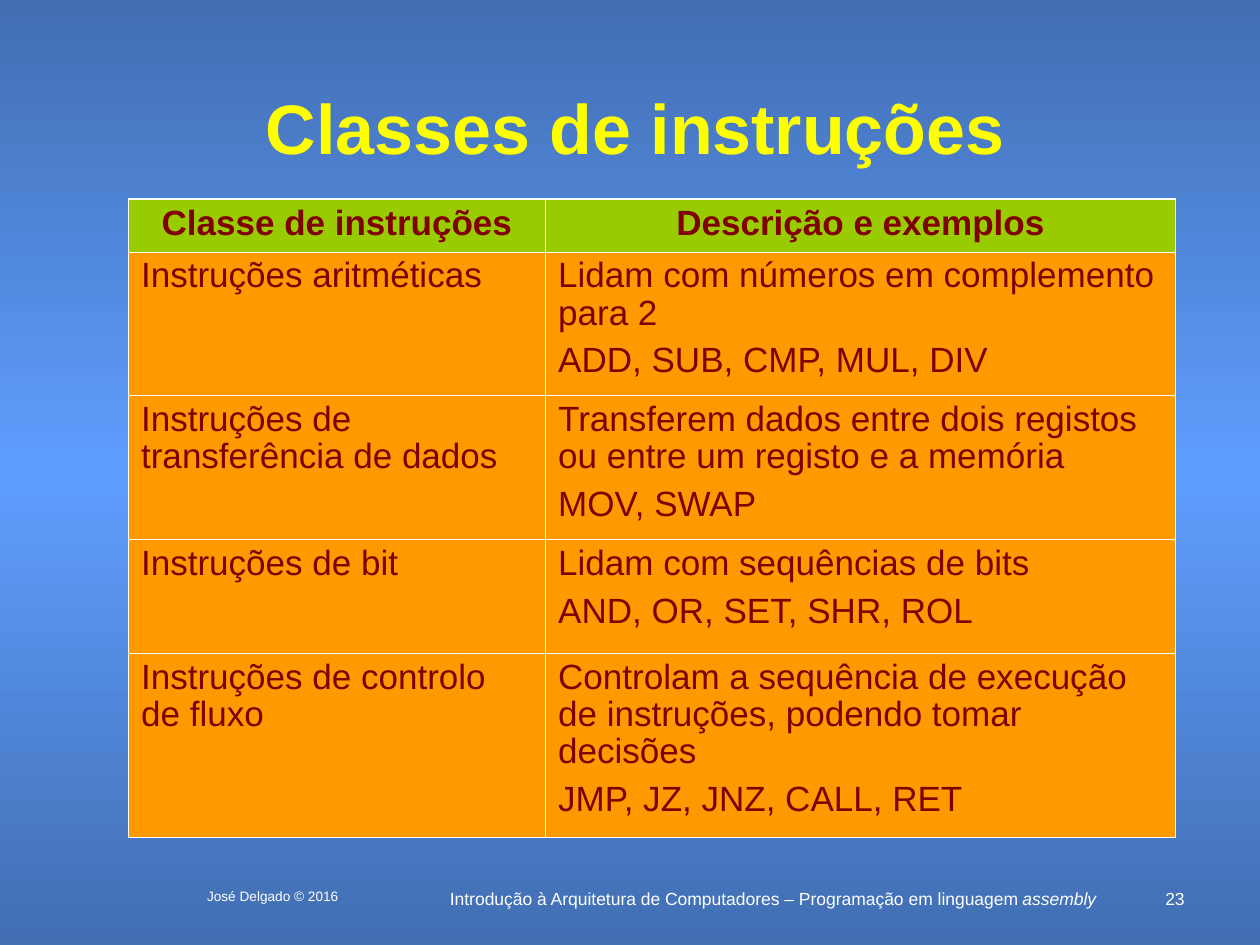
from copy import deepcopy

from lxml import etree
from pptx import Presentation
from pptx.dml.color import RGBColor
from pptx.enum.text import MSO_ANCHOR, PP_ALIGN
from pptx.oxml.ns import qn
from pptx.util import Inches, Pt

LEFT, CENTER, RIGHT = PP_ALIGN.LEFT, PP_ALIGN.CENTER, PP_ALIGN.RIGHT
MIDDLE = MSO_ANCHOR.MIDDLE

WHITE = RGBColor(0xFF, 0xFF, 0xFF)
YELLOW = RGBColor(0xFF, 0xFF, 0x00)
MAROON = RGBColor(0x80, 0x00, 0x00)
GREEN = RGBColor(0x99, 0xCC, 0x00)
ORANGE = RGBColor(0xFF, 0x99, 0x00)
EDGE_BLUE = RGBColor(0x42, 0x6E, 0xB2)
MID_BLUE = RGBColor(0x5E, 0x9E, 0xFF)

FONT = "Arial"
INNER_LINE, OUTER_LINE = Pt(0.45), Pt(1.08)
COLUMN_WIDTHS = [3.31, 5]
ROW_HEIGHTS = [0.42, 1.14, 1.14, 0.91, 1.45]
FOOTER_TOP = 7

ROWS = [
    (["Classe de instruções"], ["Descrição e exemplos"]),
    (["Instruções aritméticas"],
     ["Lidam com números em complemento para 2", "ADD, SUB, CMP, MUL, DIV"]),
    (["Instruções de transferência de dados"],
     ["Transferem dados entre dois registos ou entre um registo e a memória",
      "MOV, SWAP"]),
    (["Instruções de bit"],
     ["Lidam com sequências de bits", "AND, OR, SET, SHR, ROL"]),
    (["Instruções de controlo de fluxo"],
     ["Controlam a sequência de execução de instruções, podendo tomar decisões",
      "JMP, JZ, JNZ, CALL, RET"]),
]


def style(para, size, color, align, bold=False):
    para.alignment = align
    font = para.font
    font.name, font.size, font.bold = FONT, Pt(size), bold
    font.color.rgb = color


def paint_background(page):
    fill = page.background.fill
    fill.gradient()
    fill.gradient_angle = 90
    stop_list = page.element.find(".//" + qn("a:gsLst"))
    stop_list.append(deepcopy(stop_list[-1]))
    colors = [EDGE_BLUE, MID_BLUE, EDGE_BLUE]
    for stop, position, color in zip(fill.gradient_stops, [0, 0.5, 1], colors):
        stop.position = position
        stop.color.rgb = color


def add_title(page, text):
    title = page.shapes.title
    title.left, title.top = Inches(0.75), Inches(0.67)
    title.width, title.height = Inches(8.58), Inches(0.67)
    frame = title.text_frame
    frame.text = text
    frame.vertical_anchor = MIDDLE
    style(frame.paragraphs[0], 40, YELLOW, CENTER, bold=True)


def add_footer(page, left, width, height, text, size, align, italic_end=""):
    box = page.shapes.add_textbox(
        Inches(left), Inches(FOOTER_TOP), Inches(width), Inches(height))
    box.text_frame.word_wrap = True
    para = box.text_frame.paragraphs[0]
    para.add_run().text = text
    if italic_end:
        span = para.add_run()
        span.text = italic_end
        span.font.italic = True
    style(para, size, WHITE, align)


def add_borders(cell, widths):
    properties = cell._tc.get_or_add_tcPr()
    for side, width in widths.items():
        line = etree.SubElement(properties, qn(f"a:ln{side}"), w=str(int(width)))
        fill = etree.SubElement(line, qn("a:solidFill"))
        etree.SubElement(fill, qn("a:srgbClr"), val=str(WHITE))


def fill_cell(cell, texts, row, column):
    header = row == 0
    add_borders(cell, {
        "L": OUTER_LINE if column == 0 else INNER_LINE,
        "R": OUTER_LINE if column == len(COLUMN_WIDTHS) - 1 else INNER_LINE,
        "T": OUTER_LINE if header else INNER_LINE,
        "B": INNER_LINE,
    })
    cell.fill.solid()
    cell.fill.fore_color.rgb = GREEN if header else ORANGE
    cell.text = "\n".join(texts)
    for index, para in enumerate(cell.text_frame.paragraphs):
        style(para, 20, MAROON, CENTER if header else LEFT, bold=header)
        para.line_spacing = 0.95
        if index:
            para.space_before = Pt(6.2)


def add_class_table(page):
    table = page.shapes.add_table(
        len(ROWS), len(COLUMN_WIDTHS), Inches(1.02), Inches(1.58),
        Inches(sum(COLUMN_WIDTHS)), Inches(sum(ROW_HEIGHTS))).table
    for column, width in zip(table.columns, COLUMN_WIDTHS):
        column.width = Inches(width)
    for row, height in zip(table.rows, ROW_HEIGHTS):
        row.height = Inches(height)
    for row, contents in enumerate(ROWS):
        for column, texts in enumerate(contents):
            fill_cell(table.cell(row, column), texts, row, column)


def main():
    deck = Presentation()
    deck.slide_width, deck.slide_height = Inches(10), Inches(7.5)
    page = deck.slides.add_slide(deck.slide_layouts[5])
    paint_background(page)
    add_footer(page, 3.47, 5.33, 0.25,
               "Introdução à Arquitetura de Computadores – Programação em linguagem ",
               10, CENTER, italic_end="assembly")
    add_footer(page, 9.08, 0.42, 0.17, "23", 10, RIGHT)
    add_footer(page, 1.33, 1.67, 0.25, "José Delgado © 2016", 7.8, CENTER)
    add_title(page, "Classes de instruções")
    add_class_table(page)
    deck.save("out.pptx")


if __name__ == "__main__":
    main()
